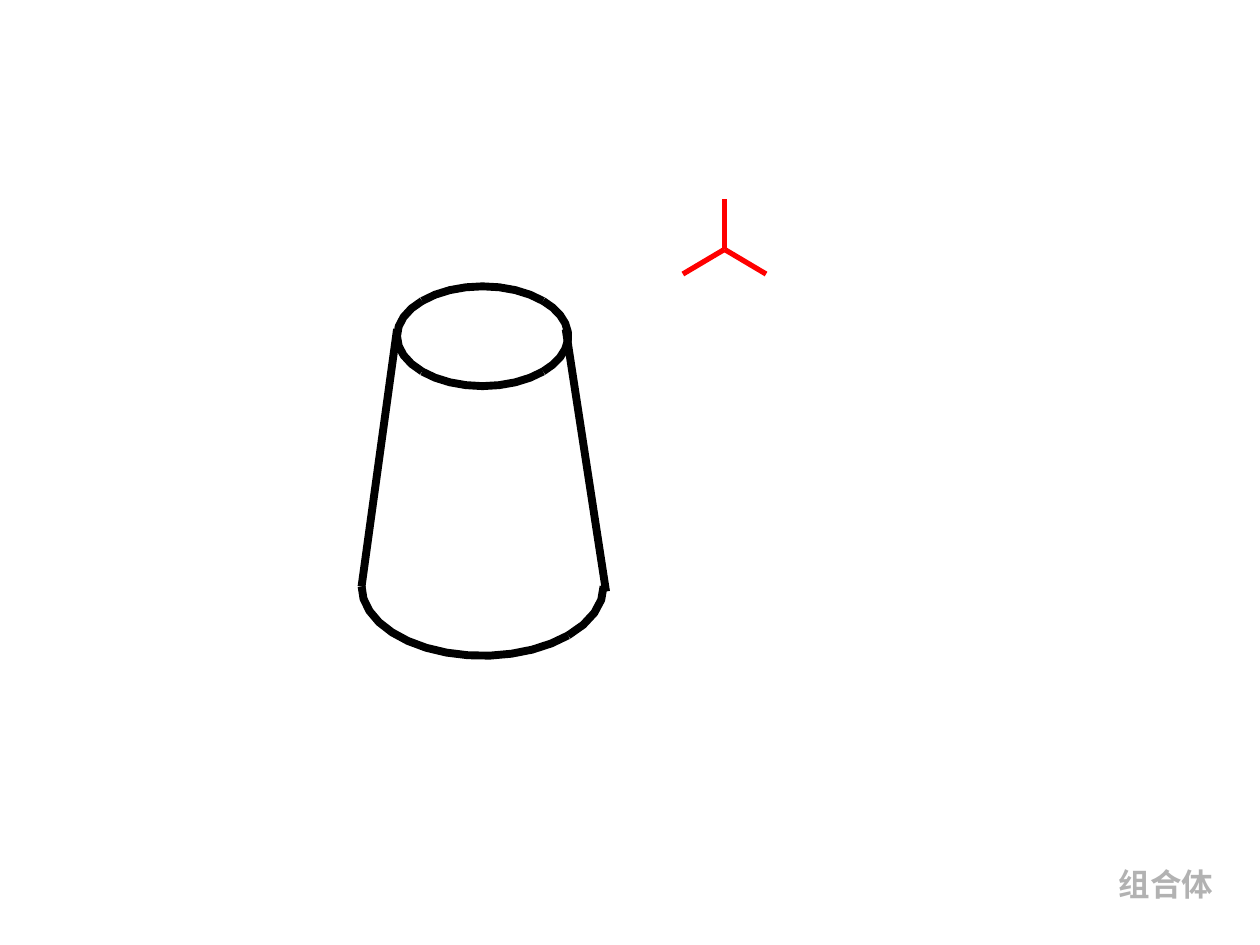
"""Build a slide with an axonometric truncated cone and its axes."""
from math import cos, radians, sin

from lxml import etree
from pptx import Presentation
from pptx.dml.color import RGBColor
from pptx.enum.shapes import MSO_CONNECTOR
from pptx.enum.text import MSO_AUTO_SIZE
from pptx.oxml.ns import qn
from pptx.util import Inches, Pt

STRAIGHT = MSO_CONNECTOR.STRAIGHT
FIT_SHAPE = MSO_AUTO_SIZE.SHAPE_TO_FIT_TEXT
BLACK = RGBColor(0x00, 0x00, 0x00)
RED = RGBColor(0xFF, 0x00, 0x00)
GREY = RGBColor(0xB2, 0xB2, 0xB2)
FONT = "Times New Roman"
CONE_WIDTH, AXIS_WIDTH = Pt(4.5), Pt(3)

CONE_BOX = (0.287, 0.303, 0.194, 0.391)
AXES_BOX = (0.542, 0.211, 0.066, 0.079)
CAPTION_BOX = (0.878, 0.909, 0.095, 0.053)

RIM = (0.495, 0.135, 0.35, 0.135)
BASE = (0.495, 0.812, 0.495, 0.188)
ARCS = [
    (BASE, 45, 0, 4),
    (BASE, 180, 45, 13),
    (RIM, 45, -45, 9),
    (RIM, -135, -225, 8),
    (RIM, -45, -135, 8),
    (RIM, 135, 45, 8),
]
SIDES = [((0.145, 0.116), (0, 0.812)), ((0.835, 0.116), (1, 0.826))]
AXIS_CENTRE = (0.5, 0.67)
AXIS_ENDS = [(1, 1), (0.5, 0), (0, 1)]


def scale_box(presentation, shares):
    """Turn shares of the slide's size into a box in EMU."""
    left, top, width, height = shares
    slide_width, slide_height = presentation.slide_width, presentation.slide_height
    return (round(left * slide_width), round(top * slide_height),
            round(width * slide_width), round(height * slide_height))


def locate(box, point):
    """Return the EMU position of a point given as shares of a box."""
    left, top, width, height = box
    return round(left + point[0] * width), round(top + point[1] * height)


def draw_line(shapes, box, start, end, color, width):
    """Draw a straight line between two points of a box."""
    connector = shapes.add_connector(STRAIGHT, *locate(box, start), *locate(box, end))
    connector.line.color.rgb = color
    connector.line.width = width
    etree.SubElement(connector._element.spPr, qn("a:effectLst"))


def draw_arc(shapes, box, ellipse, start, stop, steps):
    """Draw part of an ellipse as an open outline."""
    centre_x, centre_y, radius_x, radius_y = ellipse
    angles = [radians(start + (stop - start) * step / steps) for step in range(steps + 1)]
    points = [locate(box, (centre_x + radius_x * cos(angle), centre_y + radius_y * sin(angle)))
              for angle in angles]
    builder = shapes.build_freeform(*points[0])
    builder.add_line_segments(points[1:], close=False)
    shape = builder.convert_to_shape()
    shape.shadow.inherit = False
    shape.fill.background()
    shape.line.color.rgb = BLACK
    shape.line.width = CONE_WIDTH


def draw_cone(slide, box):
    """Draw the truncated cone inside a box."""
    shapes = slide.shapes.add_group_shape().shapes
    for arc in ARCS:
        draw_arc(shapes, box, *arc)
    for start, end in SIDES:
        draw_line(shapes, box, start, end, BLACK, CONE_WIDTH)


def draw_axes(slide, box):
    """Draw the three axes inside a box."""
    shapes = slide.shapes.add_group_shape().shapes
    for end in AXIS_ENDS:
        draw_line(shapes, box, AXIS_CENTRE, end, RED, AXIS_WIDTH)


def add_caption(slide, box):
    """Write the caption in a box."""
    text_frame = slide.shapes.add_textbox(*box).text_frame
    text_frame.word_wrap = False
    text_frame.auto_size = FIT_SHAPE
    run = text_frame.paragraphs[0].add_run()
    run.text = "组合体"
    run.font.name = FONT
    run.font.size = Pt(18)
    run.font.bold = True
    run.font.color.rgb = GREY


def main():
    """Build and save the presentation."""
    presentation = Presentation()
    presentation.slide_width, presentation.slide_height = Inches(10), Inches(7.5)
    slide = presentation.slides.add_slide(presentation.slide_layouts[6])
    draw_cone(slide, scale_box(presentation, CONE_BOX))
    draw_axes(slide, scale_box(presentation, AXES_BOX))
    add_caption(slide, scale_box(presentation, CAPTION_BOX))
    presentation.save("out.pptx")


if __name__ == "__main__":
    main()
